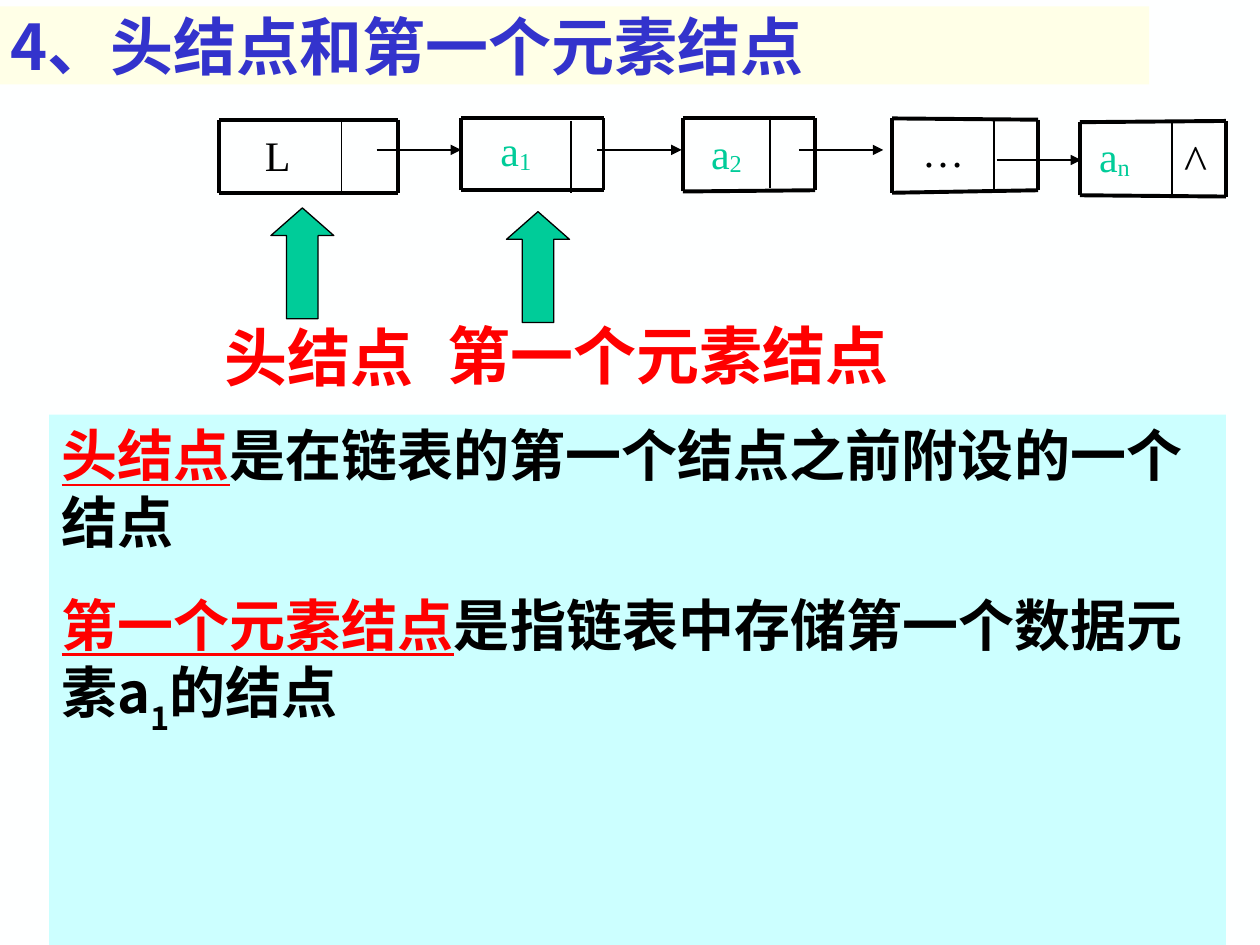
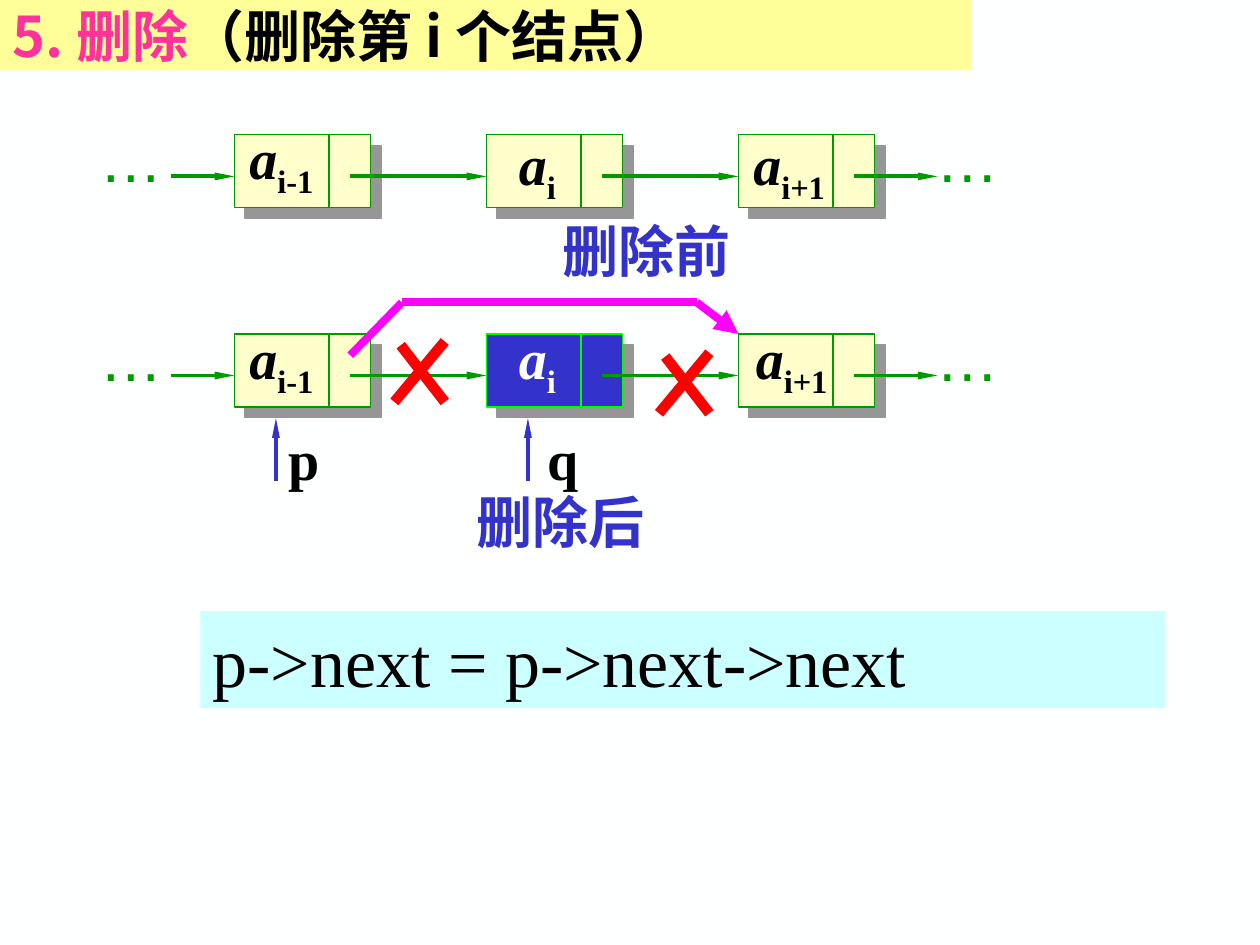
from dataclasses import dataclass
from lxml.etree import SubElement
from pptx import Presentation
from pptx.dml.color import RGBColor
from pptx.enum.shapes import MSO_CONNECTOR, MSO_SHAPE
from pptx.enum.text import MSO_ANCHOR, MSO_AUTO_SIZE, PP_ALIGN
from pptx.oxml.ns import qn
from pptx.util import Inches, Pt


@dataclass(frozen=True)
class Theme:
    """Colours, fonts and type sizes shared by the slides."""
    paper: str = "FEFFFF"
    ink: str = "000000"
    blue: str = "3333CC"
    red: str = "FF0000"
    teal: str = "00CC99"
    green: str = "009900"
    lime: str = "00FF00"
    pink: str = "FF3399"
    magenta: str = "FF00FF"
    ivory: str = "FFFFE7"
    yellow: str = "FFFF99"
    cream: str = "FFFFCC"
    aqua: str = "CCFFFF"
    shade: str = "969696"
    hans: str = "Noto Sans CJK SC"
    serif: str = "Times New Roman"
    sans: str = "Arial"
    code: int = 40
    heading: int = 36
    body: int = 32
    mark: int = 28
    node: int = 24


THEME = Theme()


@dataclass(frozen=True)
class Span:
    """A stretch of text with one format."""
    text: str
    size: int
    color: str = THEME.ink
    font: str = THEME.serif
    bold: bool = False
    italic: bool = False
    underline: bool = False
    baseline: int = 0


def rgb(color):
    """Turn a hex string into a colour."""
    return RGBColor.from_string(color)


def paint(shape, color):
    """Fill a shape with one colour."""
    shape.fill.solid()
    shape.fill.fore_color.rgb = rgb(color)


def write(box, paragraphs, align=PP_ALIGN.LEFT, before=0):
    """Put paragraphs, each a list of spans, into a box."""
    frame = box.text_frame
    for index, spans in enumerate(paragraphs):
        para = frame.add_paragraph() if index else frame.paragraphs[0]
        para.alignment = align
        para.space_before = Pt(before)
        for span in spans:
            run = para.add_run()
            run.text = span.text
            font = run.font
            font.name, font.size = span.font, Pt(span.size)
            font.bold, font.italic = span.bold, span.italic
            font.underline = span.underline
            font.color.rgb = rgb(span.color)
            properties = run._r.get_or_add_rPr()
            SubElement(properties, qn("a:ea"), typeface=THEME.hans)
            if span.baseline:
                properties.set("baseline", str(span.baseline * 1000))


def add_text(page, left, top, width, height, paragraphs, wrap=False, fill=None, **layout):
    """Add a text box, filled if a colour is given."""
    box = page.shapes.add_textbox(Inches(left), Inches(top), Inches(width), Inches(height))
    box.text_frame.word_wrap = wrap
    box.text_frame.auto_size = MSO_AUTO_SIZE.NONE if wrap else MSO_AUTO_SIZE.SHAPE_TO_FIT_TEXT
    if fill:
        paint(box, fill)
    write(box, paragraphs, **layout)
    return box


def add_line(page, start, end, color, weight, head=None):
    """Draw a line, with an arrowhead of the given width and length."""
    line = page.shapes.add_connector(MSO_CONNECTOR.STRAIGHT, *map(Inches, start + end))
    line.line.color.rgb = rgb(color)
    line.line.width = Pt(weight)
    if head:
        width, length = head
        SubElement(line.line._get_or_add_ln(), qn("a:tailEnd"), type="triangle", w=width, len=length)
    SubElement(line._element.spPr, qn("a:effectLst"))


def add_block(page, preset, left, top, width, height, fill, outline):
    """Add a filled preset shape with a thin outline."""
    block = page.shapes.add_shape(preset, Inches(left), Inches(top), Inches(width), Inches(height))
    block.shadow.inherit = False
    paint(block, fill)
    block.line.color.rgb = rgb(outline)
    block.line.width = Pt(0.75)
    return block


def cast_shadow(block):
    """Give a block a hard shadow down to the right."""
    effects = block._element.spPr.find(qn("a:effectLst"))
    shadow = SubElement(effects, qn("a:outerShdw"), dist=str(Pt(8.5)), dir="2700000", algn="ctr", rotWithShape="0")
    SubElement(shadow, qn("a:srgbClr"), val=THEME.shade)


def add_titled_page(deck, left, top, width, height, fill, spans):
    """Add a slide whose title sits on a coloured band."""
    page = deck.slides.add_slide(deck.slide_layouts[5])
    title = page.shapes.title
    title.left, title.top, title.width, title.height = map(Inches, (left, top, width, height))
    title.text_frame.vertical_anchor = MSO_ANCHOR.MIDDLE
    title.text_frame.auto_size = MSO_AUTO_SIZE.NONE
    paint(title, fill)
    write(title, [spans])
    return page


def add_list_node(page, left, right, tops, bottoms, divider, divider_top):
    """Draw a node from four heavy edges and a thin divider."""
    corners = [(left, tops[0]), (right, tops[1]), (right, bottoms[1]), (left, bottoms[0])]
    for start, end in zip(corners, corners[1:] + corners[:1]):
        add_line(page, start, end, THEME.ink, 2.25)
    add_line(page, (divider, divider_top), (divider, divider_top + 0.57), THEME.ink, 1)


def add_node_label(page, left, top, width, name, index=""):
    """Write a node's name, teal when it carries an index."""
    color = THEME.teal if index else THEME.ink
    spans = [Span(name, THEME.node, color)]
    if index:
        spans.append(Span(index, THEME.node, color, baseline=-8))
    add_text(page, left, top, width, 0.57, [spans], wrap=True, align=PP_ALIGN.CENTER, before=6)


def add_chain(page, left, top):
    """Draw the whole linked list with its arrows."""
    nodes = [
        (0, 1.42, (0.01, 0.01), (0.59, 0.59), 0.97, 0.01, 0.93, 0.04, "L", ""),
        (1.92, 3.05, (0, 0), (0.57, 0.57), 2.79, 0.02, 0.87, 0, "a", "1"),
        (3.68, 4.73, (0, 0), (0.58, 0.57), 4.37, -0.02, 0.69, 0.02, "a", "2"),
        (5.34, 6.5, (0, 0.01), (0.59, 0.57), 6.15, 0, 0.81, 0.01, "…", ""),
        (6.83, 7.99, (0.03, 0.02), (0.61, 0.62), 7.56, 0.03, 0.55, 0.05, "a", "n"),
    ]
    for start, end, tops, bottoms, divider, divider_top, width, drop, name, index in nodes:
        add_list_node(page, left + start, left + end, [top + y for y in tops],
                      [top + y for y in bottoms], left + divider, top + divider_top)
        add_node_label(page, left + start, top + drop, width, name, index)
    for start, drop in ((1.25, 0.25), (3, 0.25), (4.6, 0.25), (6.17, 0.33)):
        add_line(page, (left + start, top + drop), (left + start + 0.67, top + drop),
                 THEME.ink, 0.75, ("med", "med"))
    add_text(page, left + 7.56, top + 0.05, 0.51, 0.57, [[Span("^", THEME.mark)]], wrap=True, before=7)


def add_callout(page, left, top, width, label, arrow_left, arrow_top):
    """Add a red label with an arrow pointing up at a node."""
    add_text(page, left, top, width, 0.7, [[Span(label, THEME.heading, THEME.red, bold=True)]],
             align=PP_ALIGN.CENTER, before=22.5)
    arrow = add_block(page, MSO_SHAPE.UP_ARROW, arrow_left, arrow_top, 0.5, 0.88, THEME.teal, THEME.ink)
    arrow.adjustments[1] = 0.44


def add_definitions(page, left, top, width, height):
    """Explain both kinds of node on an aqua panel."""
    def term(text):
        return Span(text, THEME.body, THEME.red, THEME.hans, bold=True, underline=True)

    def plain(text, baseline=0):
        return Span(text, THEME.body, font=THEME.hans, bold=True, baseline=baseline)

    paragraphs = [
        [term("头结点"), plain("是在链表的第一个结点之前附设的一个结点")],
        [term("第一个元素结点"), plain("是指链表中存储第一个数据元素a"), plain("1", -30), plain("的结点")],
    ]
    add_text(page, left, top, width, height, paragraphs, wrap=True, fill=THEME.aqua, before=20)


def build_head_node_slide(deck):
    """Build the slide on the head node and the first element node."""
    page = add_titled_page(deck, -0.02, 0.05, 9.14, 0.62, THEME.ivory, [
        Span("4、头结点和第一个元素结点", THEME.heading, THEME.blue, THEME.hans, bold=True)])
    add_callout(page, 1.67, 2.48, 1.72, "头结点", 2.15, 1.65)
    add_callout(page, 3.44, 2.46, 3.72, "第一个元素结点", 4.02, 1.68)
    add_chain(page, 1.74, 0.94)
    add_definitions(page, 0.39, 3.29, 9.34, 5.04)


def add_row(page, left, top, labels, deleted=None):
    """Draw three linked nodes, with the deleted one in blue."""
    pitch, level, slim = 2, top + 0.33, ("sm", "lg")
    add_line(page, (left - 0.5, level), (left, level), THEME.green, 2.25, slim)
    for position, (index, shift, lift, width) in enumerate(labels):
        x = left + position * pitch
        gone = position == deleted
        edge = THEME.lime if gone else THEME.green
        block = add_block(page, MSO_SHAPE.RECTANGLE, x, top, 1.08, 0.58,
                          THEME.blue if gone else THEME.cream, edge)
        cast_shadow(block)
        add_line(page, (x + 0.75, top), (x + 0.75, top + 0.58), edge, 1.5)
        reach = 1.58 if position == len(labels) - 1 else pitch
        add_line(page, (x + 0.92, level), (x + reach, level), THEME.green, 2.25, slim)
        color = THEME.paper if gone else THEME.ink
        add_text(page, x + shift, top - lift, width, 0.71, [[
            Span("a", THEME.body, color, bold=True, italic=True),
            Span(index, THEME.body, color, bold=True, baseline=-25)]])
    for shift in (-1.17, 5.47):
        add_text(page, left + shift, top - 0.17, 0.7, 0.7,
                 [[Span("…", THEME.heading, THEME.green, THEME.sans)]])


def add_pointer(page, left, top, name, shift):
    """Draw a pointer below a node with its name beside it."""
    add_line(page, (left, top + 0.5), (left, top), THEME.blue, 2.25, ("sm", "lg"))
    add_text(page, left + shift, top, 0.45, 0.64, [[Span(name, THEME.body, bold=True)]])


def add_bypass(page, left, top):
    """Draw the new link that skips the deleted node."""
    points = [(left, top + 0.42), (left + 0.41, top), (left + 2.75, top), (left + 3.08, top + 0.25)]
    heads = (None, None, ("med", "med"))
    for start, end, head in zip(points, points[1:], heads):
        add_line(page, start, end, THEME.magenta, 4.5, head)


def add_cross(page, left, top):
    """Strike out a link with a red cross."""
    add_line(page, (left + 0.05, top + 0.03), (left + 0.4, top + 0.48), THEME.red, 6)
    add_line(page, (left + 0.4, top), (left, top + 0.48), THEME.red, 6)


def build_deletion_slide(deck):
    """Build the slide on deleting the i-th node."""
    page = add_titled_page(deck, 0, 0, 7.71, 0.56, THEME.yellow, [
        Span("5. 删除", THEME.body, THEME.pink, THEME.hans, bold=True),
        Span("（删除第 i 个结点）", THEME.body, font=THEME.hans, bold=True)])
    add_text(page, 1.59, 4.85, 7.66, 0.77, [[Span("p->next = p->next->next", THEME.code)]],
             wrap=True, fill=THEME.aqua)
    add_row(page, 1.86, 1.07, [("i-1", 0.02, 0.14, 0.72), ("i", 0.16, 0.09, 0.53), ("i+1", 0.02, 0.09, 0.78)])
    add_row(page, 1.86, 2.65, [("i-1", 0.02, 0.13, 0.72), ("i", 0.16, 0.13, 0.53), ("i+1", 0.04, 0.13, 0.78)],
            deleted=1)
    add_pointer(page, 2.19, 3.32, "p", 0)
    add_pointer(page, 4.19, 3.32, "q", 0.06)
    add_bypass(page, 2.78, 2.4)
    for left, top, caption in ((4.37, 1.67, "删除前"), (3.68, 3.82, "删除后")):
        add_text(page, left, top, 1.57, 0.64, [[Span(caption, THEME.body, THEME.blue, bold=True)]])
    add_cross(page, 3.13, 2.71)
    add_cross(page, 5.23, 2.8)


def main():
    """Build and save the deck."""
    deck = Presentation()
    deck.slide_width, deck.slide_height = Inches(10), Inches(7.5)
    background = deck.slide_master.background.fill
    background.solid()
    background.fore_color.rgb = rgb(THEME.paper)
    build_head_node_slide(deck)
    build_deletion_slide(deck)
    deck.save("out.pptx")


if __name__ == "__main__":
    main()
